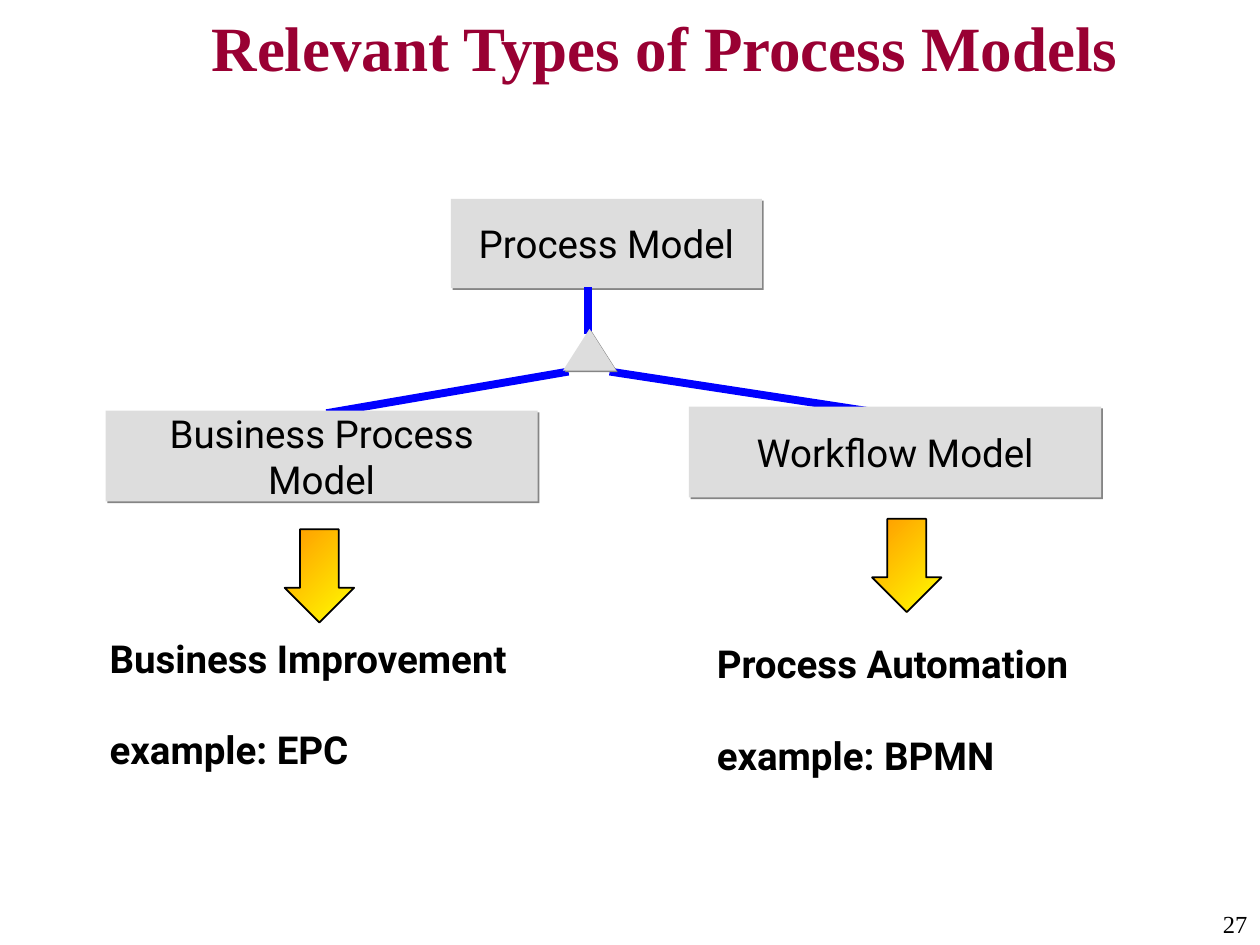
from lxml import etree
from pptx import Presentation
from pptx.dml.color import RGBColor
from pptx.enum.shapes import MSO_CONNECTOR, MSO_SHAPE
from pptx.enum.text import MSO_ANCHOR, MSO_AUTO_SIZE, PP_ALIGN
from pptx.oxml import parse_xml
from pptx.oxml.ns import nsdecls, qn
from pptx.util import Cm, Pt

RECT, TRI, DOWN = MSO_SHAPE.RECTANGLE, MSO_SHAPE.ISOSCELES_TRIANGLE, MSO_SHAPE.DOWN_ARROW
LINE = MSO_CONNECTOR.STRAIGHT
LEFT, MID, RIGHT = PP_ALIGN.LEFT, PP_ALIGN.CENTER, PP_ALIGN.RIGHT
TOP, CORE = MSO_ANCHOR.TOP, MSO_ANCHOR.MIDDLE
FIXED = MSO_AUTO_SIZE.NONE

HUES = {"title": "990033", "text": "000000", "box": "DDDDDD", "shade": "858585",
        "line": "0000FF", "warm": "FF9900", "sun": "FFFF00"}
SANS, SERIF = "Roboto", "Times New Roman"


class Deck:
    """Holds the style and the current slide."""

    def __init__(self):
        self.prs = Presentation()
        self.prs.slide_width, self.prs.slide_height = Cm(25.4), Cm(19.05)
        self.slide = self.prs.slides.add_slide(self.prs.slide_layouts[5])
        self.shapes = self.slide.shapes

    def hue(self, name):
        return RGBColor.from_string(HUES[name])

    def set_text(self, shape, text, size, font=SANS, hue="text", bold=False,
                 align=LEFT, anchor=TOP, gap=0):
        frame = shape.text_frame
        frame.text = text
        frame.word_wrap = True
        frame.auto_size = FIXED
        frame.vertical_anchor = anchor
        for i, para in enumerate(frame.paragraphs):
            para.alignment = align
            para.space_before = Pt(gap if i else 0)
            for run in para.runs:
                run.font.name, run.font.size, run.font.bold = font, Pt(size), bold
                run.font.color.rgb = self.hue(hue)

    def title(self, text, x, y, w, h):
        shape = self.shapes.title
        shape.left, shape.top, shape.width, shape.height = map(Cm, (x, y, w, h))
        self.set_text(shape, text, 36, SERIF, "title", True, anchor=CORE)

    def label(self, text, x, y, w, h, size, **style):
        box = self.shapes.add_textbox(*map(Cm, (x, y, w, h)))
        self.set_text(box, text, size, **style)

    def block(self, kind, x, y, w, h, text=""):
        """Grey shape with a thin, hard shadow."""
        shape = self.shapes.add_shape(kind, *map(Cm, (x, y, w, h)))
        shape.fill.solid()
        shape.fill.fore_color.rgb = self.hue("box")
        shape.line.fill.background()
        shape.shadow.inherit = False
        effects = shape._element.spPr.find(qn("a:effectLst"))
        effects.append(parse_xml(
            f'<a:outerShdw {nsdecls("a")} blurRad="0" dist="17780" dir="2700000" '
            f'algn="tl" rotWithShape="0"><a:srgbClr val="{HUES["shade"]}"/></a:outerShdw>'))
        if text:
            self.set_text(shape, text, 22, align=MID, anchor=CORE)

    def arrow(self, x, y, w=1.4, h=1.88):
        shape = self.shapes.add_shape(DOWN, *map(Cm, (x, y, w, h)))
        shape.adjustments[0], shape.adjustments[1] = 0.56, 0.5
        shape.shadow.inherit = False
        shape.fill.gradient()
        shape.fill.gradient_angle = 315
        for stop, name in zip(shape.fill.gradient_stops, ("warm", "sun")):
            stop.color.rgb = self.hue(name)
        shape.line.color.rgb = self.hue("text")
        shape.line.width = Pt(1)

    def link(self, x1, y1, x2, y2):
        line = self.shapes.add_connector(LINE, *map(Cm, (x1, y1, x2, y2)))
        line.line.color.rgb = self.hue("line")
        line.line.width = Pt(4.5)
        etree.SubElement(line._element.spPr, qn("a:effectLst"))


def main():
    deck = Deck()

    # Title and page number
    deck.title("Relevant Types of Process Models", 4.01, 0.2, 21.39, 1.47)
    deck.label("27", 21.79, 18.21, 3.61, 0.84, 14, font=SERIF, align=RIGHT)

    # Branches, behind the boxes
    deck.link(17.78, 8.33, 12.29, 7.49)
    deck.link(11.46, 7.49, 6.58, 8.33)

    # Model boxes
    deck.block(RECT, 2.13, 8.28, 8.71, 1.83, "Business Process Model")
    deck.block(RECT, 13.89, 8.2, 8.31, 1.83, "Workflow Model")
    deck.block(RECT, 9.09, 4.01, 6.27, 1.8, "Process Model")

    # Stem and triangle of the hierarchy
    deck.link(11.86, 5.79, 11.86, 6.73)
    deck.block(TRI, 11.35, 6.63, 1.07, 0.84)

    # Purpose and example of each model
    for text, x, y, w in (("Business Improvement\nexample: EPC", 1.96, 12.67, 9.45),
                          ("Process Automation\nexample: BPMN", 14.2, 12.78, 8.31)):
        deck.label(text, x, y, w, 3.05, 22, bold=True, gap=26)
    deck.arrow(17.58, 10.46)
    deck.arrow(5.74, 10.67)

    deck.prs.save("out.pptx")


if __name__ == "__main__":
    main()
